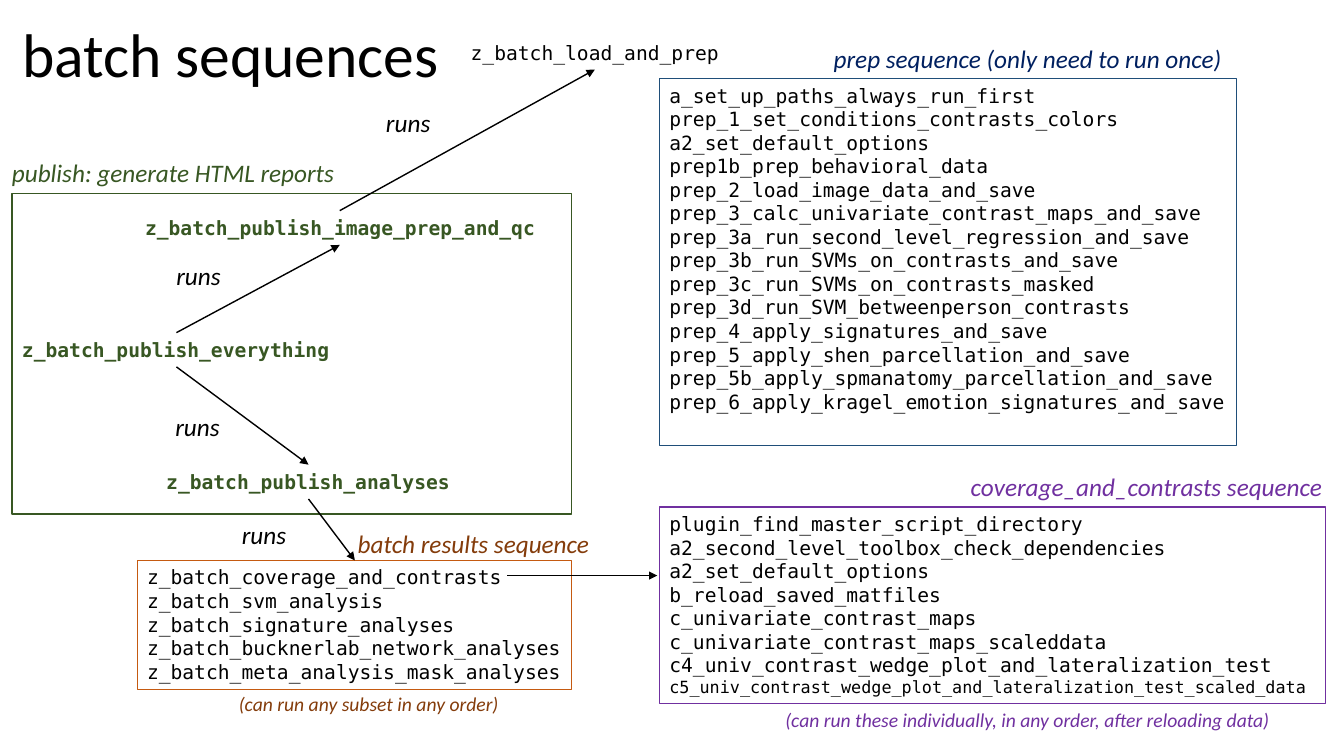
from lxml import etree
from pptx import Presentation
from pptx.dml.color import RGBColor
from pptx.enum.shapes import MSO_CONNECTOR, MSO_SHAPE
from pptx.enum.text import MSO_ANCHOR, MSO_AUTO_SIZE, PP_ALIGN
from pptx.oxml.ns import qn
from pptx.util import Inches, Pt

RECT = MSO_SHAPE.RECTANGLE
STRAIGHT = MSO_CONNECTOR.STRAIGHT
MIDDLE = MSO_ANCHOR.MIDDLE
LEFT = PP_ALIGN.LEFT
FIT, FIXED = MSO_AUTO_SIZE.SHAPE_TO_FIT_TEXT, MSO_AUTO_SIZE.NONE

THEME = {
    "sans": "Calibri", "mono": "DejaVu Sans Mono",
    "title": 44, "heading": 18, "code": 14, "note": 14, "small": 12,
    "black": "000000", "green": "385723", "navy": "002060", "blue": "1F4E79",
    "brown": "843C0B", "orange": "C55A11", "purple": "7030A0",
}

TITLE = ("batch sequences", (0.12, -0.15, 4.55, 1.45))

# text, box, colour, bold
SCRIPTS = [
    ("z_batch_publish_everything", (0.12, 3.3, 3.26, 0.34), "green", True),
    ("z_batch_publish_image_prep_and_qc", (1.34, 2.09, 4.08, 0.34), "green", True),
    ("z_batch_publish_analyses", (1.55, 4.61, 3.02, 0.34), "green", True),
    ("z_batch_load_and_prep", (4.57, 0.36, 2.67, 0.34), "black", False),
]

# box, line colour, line width, script names
FRAMES = [
    ((6.54, 0.78, 5.72, 3.64), "blue", 0.75, [
        "a_set_up_paths_always_run_first",
        "prep_1_set_conditions_contrasts_colors",
        "a2_set_default_options",
        "prep1b_prep_behavioral_data",
        "prep_2_load_image_data_and_save",
        "prep_3_calc_univariate_contrast_maps_and_save",
        "prep_3a_run_second_level_regression_and_save",
        "prep_3b_run_SVMs_on_contrasts_and_save",
        "prep_3c_run_SVMs_on_contrasts_masked",
        "prep_3d_run_SVM_betweenperson_contrasts",
        "prep_4_apply_signatures_and_save",
        "prep_5_apply_shen_parcellation_and_save",
        "prep_5b_apply_spmanatomy_parcellation_and_save",
        "prep_6_apply_kragel_emotion_signatures_and_save",
    ]),
    ((1.36, 5.56, 4.31, 1.28), "orange", 0.75, [
        "z_batch_coverage_and_contrasts",
        "z_batch_svm_analysis",
        "z_batch_signature_analyses",
        "z_batch_bucknerlab_network_analyses",
        "z_batch_meta_analysis_mask_analyses",
    ]),
    ((6.54, 5.03, 6.61, 1.95), "purple", 0.75, [
        "plugin_find_master_script_directory",
        "a2_second_level_toolbox_check_dependencies",
        "a2_set_default_options",
        "b_reload_saved_matfiles",
        "c_univariate_contrast_maps",
        "c_univariate_contrast_maps_scaleddata",
        "c4_univ_contrast_wedge_plot_and_lateralization_test",
        "c5_univ_contrast_wedge_plot_and_lateralization_test_scaled_data",
    ]),
    ((0.12, 1.92, 5.55, 3.18), "green", 1, []),
]
LONG_NAME = 60  # longer script names are set in the small size

# text, box, size, colour
CAPTIONS = [
    ("publish: generate HTML reports", (0.02, 1.51, 3.43, 0.4), "heading", "green"),
    ("prep sequence (only need to run once)", (8.17, 0.38, 4.09, 0.4), "heading", "navy"),
    ("batch results sequence", (3.45, 5.19, 2.56, 0.4), "heading", "brown"),
    ("coverage_and_contrasts sequence", (9.53, 4.63, 3.86, 0.4), "heading", "purple"),
    ("(can run any subset in any order)", (2.27, 6.82, 2.8, 0.34), "note", "brown"),
    ("(can run these individually, in any order, after reloading data)",
     (7.69, 6.97, 5.06, 0.34), "note", "purple"),
]

# start, end, top left of the "runs" label
ARROWS = [
    ((3.37, 2.09), (5.9, 0.69), (3.73, 1.02)),
    ((1.75, 3.3), (3.37, 2.43), (1.65, 2.53)),
    ((1.75, 3.64), (3.06, 4.61), (1.64, 4.03)),
    ((3.06, 4.95), (3.52, 5.56), (2.3, 5.1)),
    ((5.03, 5.71), (6.52, 5.71), None),
]
RUNS_SIZE = (0.65, 0.4)


def color(name):
    """Return a theme colour."""
    return RGBColor.from_string(THEME[name])


def style(p, font, size, ink, bold=False, italic=False):
    """Format the runs of a paragraph."""
    p.alignment = LEFT
    for r in p.runs:
        r.font.name = THEME[font]
        r.font.size = Pt(THEME[size])
        r.font.color.rgb = color(ink)
        r.font.bold, r.font.italic = bold, italic


def add_text(slide, text, box, font, size, ink, bold=False, italic=False):
    """Add a one-line label and return its text frame."""
    tf = slide.shapes.add_textbox(*map(Inches, box)).text_frame
    tf.text = text
    tf.word_wrap = False
    tf.auto_size = FIT
    style(tf.paragraphs[0], font, size, ink, bold, italic)
    return tf


def add_title(slide, text, box):
    """Add the slide title."""
    tf = add_text(slide, text, box, "sans", "title", "black")
    tf.word_wrap = True
    tf.auto_size = FIXED
    tf.vertical_anchor = MIDDLE
    tf.paragraphs[0].line_spacing = 0.9


def add_frame(slide, box, ink, width, names):
    """Add an outlined box listing script names."""
    sp = slide.shapes.add_shape(RECT, *map(Inches, box))
    sp.shadow.inherit = False
    sp.fill.background()
    sp.line.color.rgb = color(ink)
    sp.line.width = Pt(width)
    if names:
        tf = sp.text_frame
        tf.text = "\n".join(names)
        tf.word_wrap = False
        tf.auto_size = FIXED
        tf.vertical_anchor = MSO_ANCHOR.TOP
        for p in tf.paragraphs:
            style(p, "mono", "small" if len(p.text) > LONG_NAME else "code", "black")


def add_arrow(slide, start, end):
    """Add a straight arrow."""
    line = slide.shapes.add_connector(STRAIGHT, *map(Inches, start + end))
    line.line.color.rgb = color("black")
    line.line.width = Pt(1)
    etree.SubElement(line.line._get_or_add_ln(), qn("a:tailEnd"), type="triangle")
    etree.SubElement(line._element.spPr, qn("a:effectLst"))


prs = Presentation()
prs.slide_width, prs.slide_height = Inches(13.33), Inches(7.5)
slide = prs.slides.add_slide(prs.slide_layouts[6])

for frame in FRAMES:
    add_frame(slide, *frame)
for text, box, ink, bold in SCRIPTS:
    add_text(slide, text, box, "mono", "code", ink, bold)
for start, end, label in ARROWS:
    add_arrow(slide, start, end)
    if label:
        add_text(slide, "runs", label + RUNS_SIZE, "sans", "heading", "black", italic=True)
for text, box, size, ink in CAPTIONS:
    add_text(slide, text, box, "sans", size, ink, italic=True)
add_title(slide, *TITLE)

prs.save("out.pptx")
